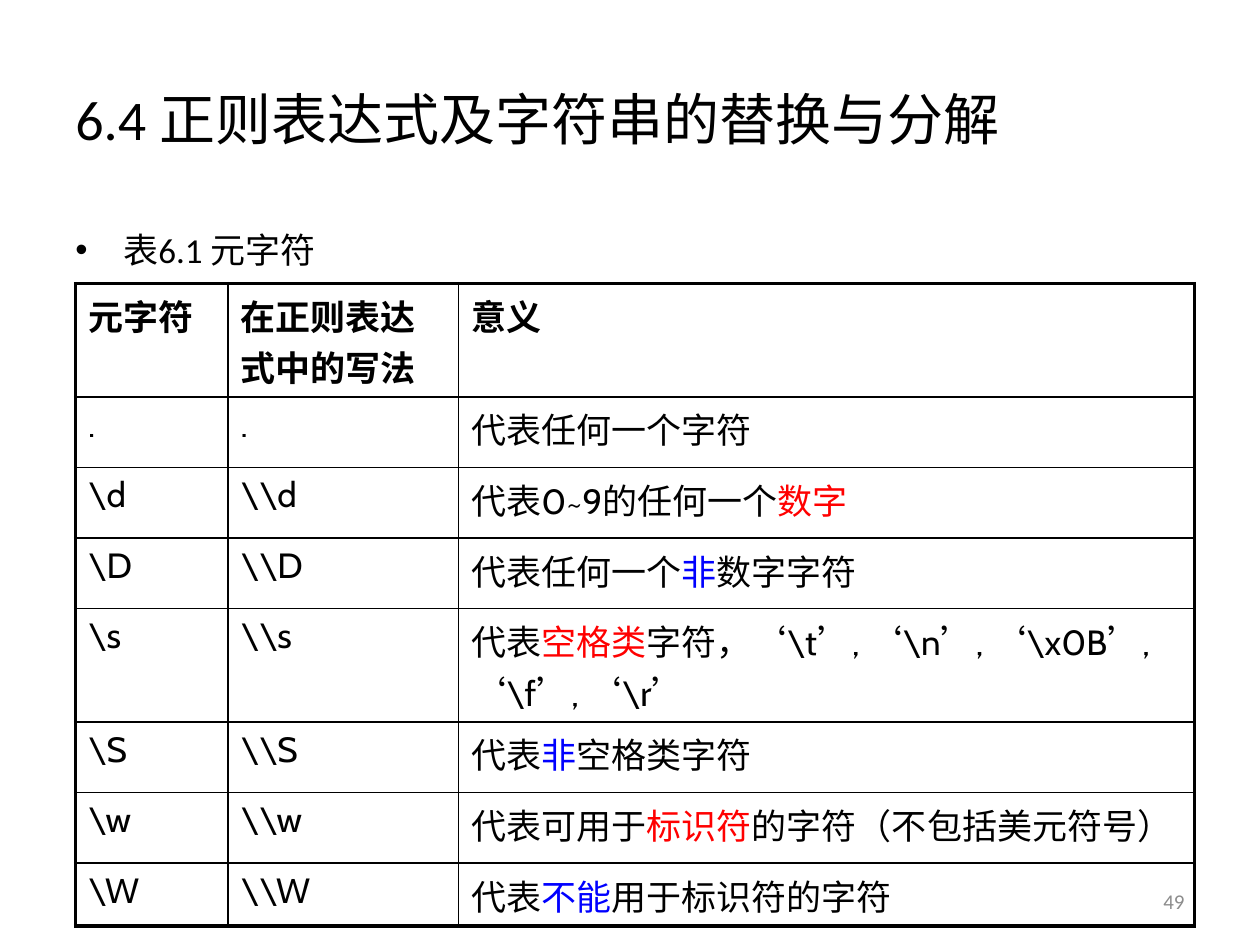
from typing import NamedTuple

from lxml.etree import SubElement
from pptx import Presentation
from pptx.dml.color import RGBColor
from pptx.enum.text import MSO_ANCHOR, PP_ALIGN
from pptx.oxml import parse_xml
from pptx.oxml.ns import nsdecls, qn
from pptx.util import Inches, Pt

COLORS = {"text": "000000", "red": "FF0000", "blue": "0000FF", "muted": "8C8C8C"}
WIDTH, HEIGHT = 10, 7.5
THICK, THIN = 2.25, 1


class Run(NamedTuple):
    text: str
    color: str = "text"
    font: str = "Cabin"


class Label(NamedTuple):
    text: str
    box: tuple  # left, top, width, height as shares of the slide
    size: int
    color: str = "text"
    anchor: MSO_ANCHOR = MSO_ANCHOR.MIDDLE
    align: PP_ALIGN = PP_ALIGN.LEFT
    bullet: bool = False


class Meta(NamedTuple):
    symbol: str
    meaning: list
    height: float = 0.56


TITLE = Label("6.4 正则表达式及字符串的替换与分解", (0.05, 0.04, 0.9, 0.17), 32)
CAPTION = Label("表6.1 元字符", (0.05, 0.235, 0.9, 0.66), 20,
                anchor=MSO_ANCHOR.TOP, bullet=True)
PAGE = Label("49", (0.717, 0.927, 0.233, 0.053), 12, "muted", align=PP_ALIGN.RIGHT)


def quoted(codes: list[str]) -> list[Run]:
    """Each code between Arial quotation marks, parted by commas."""
    runs = []
    for i, code in enumerate(codes):
        if i:
            runs.append(Run(", "))
        runs += [Run("‘", font="Arial"), Run(code), Run("’", font="Arial")]
    return runs


# Table content
HEADERS = ["元字符", "在正则表达式中的写法", "意义"]
HEADER_HEIGHT = 0.9
COLUMNS = [1.21, 1.83, 5.84]
METAS = [
    Meta(".", [Run("代表任何一个字符")]),
    Meta(r"\d", [Run("代表0~9的任何一个"), Run("数字", "red")]),
    Meta(r"\D", [Run("代表任何一个"), Run("非", "blue"), Run("数字字符")]),
    Meta(r"\s", [Run("代表"), Run("空格类", "red"), Run("字符，"),
                 *quoted([r"\t", r"\n", r"\x0B", r"\f", r"\r"])], 0.9),
    Meta(r"\S", [Run("代表"), Run("非", "blue"), Run("空格类字符")]),
    Meta(r"\w", [Run("代表可用于"), Run("标识符", "red"), Run("的字符（不包括美元符号）")]),
    Meta(r"\W", [Run("代表"), Run("不能", "blue"), Run("用于标识符的字符")], 0.5),
]


def add_runs(p, runs: list[Run], size: int, bold: bool = False) -> None:
    for run in runs:
        r = p.add_run()
        r.text = run.text
        for name, value in {"name": run.font, "size": Pt(size), "bold": bold}.items():
            setattr(r.font, name, value)
        r.font.color.rgb = RGBColor.from_string(COLORS[run.color])


def add_label(s, label: Label) -> None:
    left, top, width, height = label.box
    sp = s.shapes.add_textbox(Inches(left * WIDTH), Inches(top * HEIGHT),
                              Inches(width * WIDTH), Inches(height * HEIGHT))
    tf = sp.text_frame
    for name, value in {"word_wrap": True, "vertical_anchor": label.anchor}.items():
        setattr(tf, name, value)
    p = tf.paragraphs[0]
    p.alignment = label.align
    if label.bullet:
        pPr = p._p.get_or_add_pPr()
        pPr.set("marL", str(Inches(0.38)))
        pPr.set("indent", str(-Inches(0.38)))
        SubElement(pPr, qn("a:buFont"), typeface="Arial")
        SubElement(pPr, qn("a:buChar"), char="•")
    add_runs(p, [Run(label.text, label.color, "Calibri")], label.size)


def set_borders(cell, widths: dict[str, float]) -> None:
    tcPr = cell._tc.get_or_add_tcPr()
    for i, (side, width) in enumerate(widths.items()):
        tcPr.insert(i, parse_xml(
            f'<a:ln{side} {nsdecls("a")} w="{Pt(width)}"><a:solidFill>'
            f'<a:srgbClr val="{COLORS["text"]}"/></a:solidFill></a:ln{side}>'))


def add_meta_table(s) -> None:
    rows = [[[Run(text)] for text in HEADERS]]
    for meta in METAS:
        pattern = meta.symbol.replace("\\", "\\\\")
        rows.append([[Run(meta.symbol)], [Run(pattern)], meta.meaning])
    heights = [HEADER_HEIGHT] + [meta.height for meta in METAS]
    table = s.shapes.add_table(len(rows), len(COLUMNS), Inches(0.6), Inches(2.25),
                               Inches(sum(COLUMNS)), Inches(sum(heights))).table
    table.first_row = table.horz_banding = False
    for column, width in zip(table.columns, COLUMNS):
        column.width = Inches(width)
    for row, height in zip(table.rows, heights):
        row.height = Inches(height)

    last_row, last_col = len(rows) - 1, len(COLUMNS) - 1
    for i, row in enumerate(rows):
        for j, runs in enumerate(row):
            cell = table.cell(i, j)
            cell.fill.background()
            add_runs(cell.text_frame.paragraphs[0], runs, 20, bold=i == 0)
            # Thick frame outside, thin rules inside
            edges = {"L": j == 0, "R": j == last_col, "T": i == 0, "B": i == last_row}
            set_borders(cell, {side: THICK if outer else THIN
                               for side, outer in edges.items()})


def main() -> None:
    prs = Presentation()
    prs.slide_width, prs.slide_height = Inches(WIDTH), Inches(HEIGHT)
    s = prs.slides.add_slide(prs.slide_layouts[6])
    # Title and caption, then the table with the page number over it
    add_label(s, TITLE)
    add_label(s, CAPTION)
    add_meta_table(s)
    add_label(s, PAGE)
    prs.save("out.pptx")


if __name__ == "__main__":
    main()
